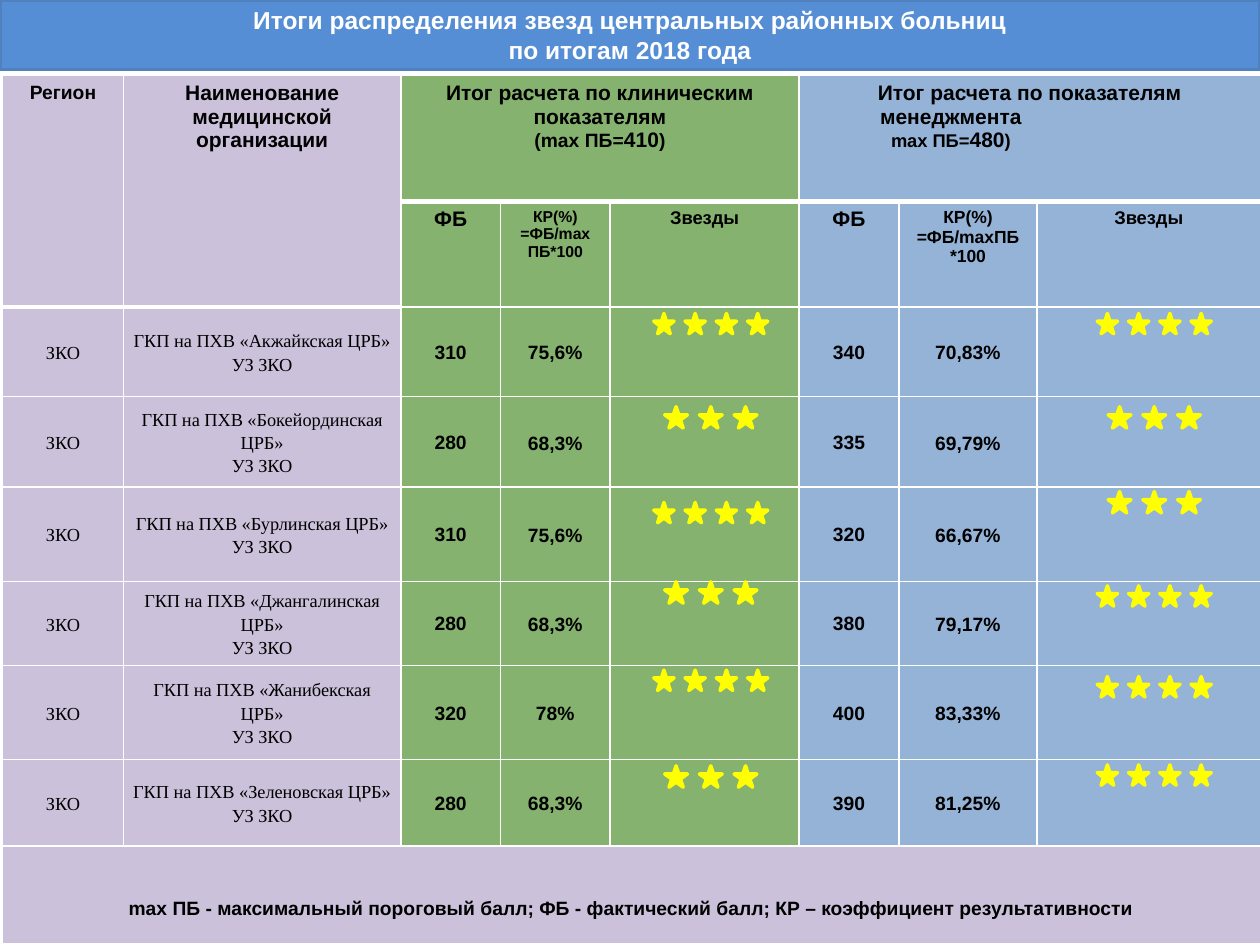
import dataclasses
import typing

import lxml.etree
import pptx
import pptx.dml.color
import pptx.enum.shapes
import pptx.enum.text
import pptx.oxml.ns
import pptx.util
from pptx.util import Cm, Pt

COLORS = {
    "title": "558ED5", "title_line": "4F81BD", "white": "FFFFFF", "black": "000000",
    "lilac": "CCC1DA", "green": "85B26E", "blue": "95B3D7", "star": "FFFF00",
}
COLUMN_FILLS = ["lilac"] * 2 + ["green"] * 3 + ["blue"] * 3
COLUMN_WIDTHS = [2.44, 5.59, 2.01, 2.21, 3.81, 2.01, 2.79, 4.5]
ROW_HEIGHTS = [2.54, 2.13, 1.8, 1.83, 1.9, 1.7, 1.89, 1.74, 1.98]
CLINICAL_CENTER, MANAGEMENT_CENTER = 14.33, 23.27
FOOTNOTE = ("mах ПБ - максимальный пороговый балл; ФБ - фактический балл; "
            "КР – коэффициент результативности")


@dataclasses.dataclass
class Style:
    size: float
    font: str = "Arial"
    bold: bool = True
    middle: bool = True
    margins: tuple[float, float, float, float] = (0.17, 0, 0.17, 0)
    spacing: typing.Optional[float] = 1.15


@dataclasses.dataclass
class Score:
    points: str
    ratio: str
    stars: int
    stars_top: float


@dataclasses.dataclass
class Hospital:
    name: str
    clinical: Score
    management: Score


HOSPITALS = [
    Hospital("Акжайкская", Score("310", "75,6%", 4, 6.32), Score("340", "70,83%", 4, 6.32)),
    Hospital("Бокейординская", Score("280", "68,3%", 3, 8.2), Score("335", "69,79%", 3, 8.2)),
    Hospital("Бурлинская", Score("310", "75,6%", 4, 10.13), Score("320", "66,67%", 3, 9.91)),
    Hospital("Джангалинская", Score("280", "68,3%", 3, 11.73), Score("380", "79,17%", 4, 11.81)),
    Hospital("Жанибекская", Score("320", "78%", 4, 13.51), Score("400", "83,33%", 4, 13.64)),
    Hospital("Зеленовская", Score("280", "68,3%", 3, 15.44), Score("390", "81,25%", 4, 15.42)),
]


def header_style(size: float) -> Style:
    return Style(size, middle=False, margins=(0.25, 0.13, 0.25, 0.13), spacing=None)


REGION_STYLE = Style(10.5, "Times New Roman", False)
POINTS_STYLE = Style(11, margins=(0.03, 0.03, 0.03, 0), spacing=None)
RATIO_STYLE = Style(11)
FOOTNOTE_STYLE = Style(11, margins=(0.17, 0.5, 0.17, 0))


def rgb(name: str) -> pptx.dml.color.RGBColor:
    return pptx.dml.color.RGBColor.from_string(COLORS[name])


def format_font(font, style: Style, color: str) -> None:
    font.size = Pt(style.size)
    font.name = style.font
    font.bold = style.bold
    font.color.rgb = rgb(color)


def add_border(cell, side: str, width: float) -> None:
    tag = pptx.oxml.ns.qn
    properties = cell._tc.get_or_add_tcPr()
    line = lxml.etree.SubElement(properties, tag(f"a:{side}"), w=str(Pt(width)))
    fill = lxml.etree.SubElement(line, tag("a:solidFill"))
    lxml.etree.SubElement(fill, tag("a:srgbClr"), val=COLORS["white"])


def paint_cell(cell, fill: str, bottom_width: float) -> None:
    for side in ("lnL", "lnR", "lnT"):
        add_border(cell, side, 1)
    add_border(cell, "lnB", bottom_width)
    cell.fill.solid()
    cell.fill.fore_color.rgb = rgb(fill)


def write_cell(cell, text: str, style: Style) -> None:
    left, top, right, bottom = style.margins
    cell.margin_left, cell.margin_top = Cm(left), Cm(top)
    cell.margin_right, cell.margin_bottom = Cm(right), Cm(bottom)
    anchor = pptx.enum.text.MSO_ANCHOR
    cell.vertical_anchor = anchor.MIDDLE if style.middle else anchor.TOP
    cell.text_frame.text = text
    for paragraph in cell.text_frame.paragraphs:
        paragraph.alignment = pptx.enum.text.PP_ALIGN.CENTER
        if style.spacing:
            paragraph.line_spacing = style.spacing
        for run in paragraph.runs:
            format_font(run.font, style, "black")


def add_maximum(cell, prefix: str, maximum: str, size: float) -> None:
    paragraph = cell.text_frame.add_paragraph()
    paragraph.alignment = pptx.enum.text.PP_ALIGN.CENTER
    for text, run_size in ((prefix, size), (maximum, 12), (")", size)):
        run = paragraph.add_run()
        run.text = text
        format_font(run.font, header_style(run_size), "black")


def write_headers(table) -> None:
    write_cell(table.cell(0, 0), "Регион", header_style(11))
    write_cell(table.cell(0, 1), "Наименование медицинской организации", header_style(12))
    clinical, management = table.cell(0, 2), table.cell(0, 5)
    write_cell(clinical, "Итог расчета по клиническим показателям", header_style(12))
    add_maximum(clinical, "(mах ПБ=", "410", 11)
    write_cell(management, "Итог расчета по показателям\nменеджмента", header_style(12))
    shifted = management.text_frame.paragraphs[1]
    shifted._p.get_or_add_pPr().set("marR", str(Cm(3.18)))
    add_maximum(management, "mах ПБ=", "480", 10.5)
    for column, formula, size in ((2, "=ФБ/mах ПБ*100", 9), (5, "=ФБ/mахПБ *100", 10)):
        write_cell(table.cell(1, column), "ФБ", header_style(12))
        write_cell(table.cell(1, column + 1), f"КР(%)\n{formula}", header_style(size))
        write_cell(table.cell(1, column + 2), "Звезды", header_style(10.5))


def add_stars(slide, center: float, score: Score) -> None:
    width, height, pitch = (0.41, 0.41, 0.63) if score.stars == 4 else (0.46, 0.43, 0.7)
    left = center - (pitch * (score.stars - 1) + width) / 2
    rating = slide.shapes.add_group_shape()
    for index in range(score.stars):
        star = rating.shapes.add_shape(
            pptx.enum.shapes.MSO_SHAPE.STAR_5_POINT,
            Cm(left + index * pitch), Cm(score.stars_top), Cm(width), Cm(height))
        star.shadow.inherit = False
        star.fill.solid()
        star.fill.fore_color.rgb = rgb("star")
        star.line.color.rgb = rgb("star")
        star.line.width = Pt(2)


def add_title(slide) -> None:
    title = slide.shapes.title
    title.left, title.top, title.width, title.height = Cm(0), Cm(0), Cm(25.4), Cm(1.4)
    title.fill.solid()
    title.fill.fore_color.rgb = rgb("title")
    title.line.color.rgb = rgb("title_line")
    title.line.width = Pt(2)
    frame = title.text_frame
    frame.text = "Итоги распределения звезд центральных районных больниц\vпо итогам 2018 года"
    frame.vertical_anchor = pptx.enum.text.MSO_ANCHOR.MIDDLE
    frame.paragraphs[0].alignment = pptx.enum.text.PP_ALIGN.CENTER
    for run in frame.paragraphs[0].runs:
        format_font(run.font, Style(14), "white")


def add_results(slide) -> None:
    table = slide.shapes.add_table(
        len(ROW_HEIGHTS), len(COLUMN_WIDTHS), Cm(0.05), Cm(1.52),
        Cm(sum(COLUMN_WIDTHS)), Cm(sum(ROW_HEIGHTS))).table
    table.first_row = table.horz_banding = False
    for column, width in zip(table.columns, COLUMN_WIDTHS):
        column.width = Cm(width)
    footer = len(ROW_HEIGHTS) - 1
    for row, height in enumerate(ROW_HEIGHTS):
        table.rows[row].height = Cm(height)
        for column, fill in enumerate(COLUMN_FILLS):
            paint_cell(table.cell(row, column), "lilac" if row == footer else fill,
                       3 if row == 0 else 1)
    for first, last in (((0, 0), (1, 0)), ((0, 1), (1, 1)), ((0, 2), (0, 4)),
                        ((0, 5), (0, 7)), ((footer, 0), (footer, 7))):
        table.cell(*first).merge(table.cell(*last))
    write_headers(table)
    for row, hospital in enumerate(HOSPITALS, start=2):
        write_cell(table.cell(row, 0), "ЗКО", REGION_STYLE)
        write_cell(table.cell(row, 1), f"ГКП на ПХВ «{hospital.name} ЦРБ»\nУЗ ЗКО", REGION_STYLE)
        for column, center, score in ((2, CLINICAL_CENTER, hospital.clinical),
                                      (5, MANAGEMENT_CENTER, hospital.management)):
            write_cell(table.cell(row, column), score.points, POINTS_STYLE)
            write_cell(table.cell(row, column + 1), score.ratio, RATIO_STYLE)
            add_stars(slide, center, score)
    write_cell(table.cell(footer, 0), FOOTNOTE, FOOTNOTE_STYLE)


def main() -> None:
    presentation = pptx.Presentation()
    presentation.slide_width, presentation.slide_height = Cm(25.4), Cm(19.05)
    slide = presentation.slides.add_slide(presentation.slide_layouts[5])
    add_title(slide)
    add_results(slide)
    presentation.save("out.pptx")


if __name__ == "__main__":
    main()
